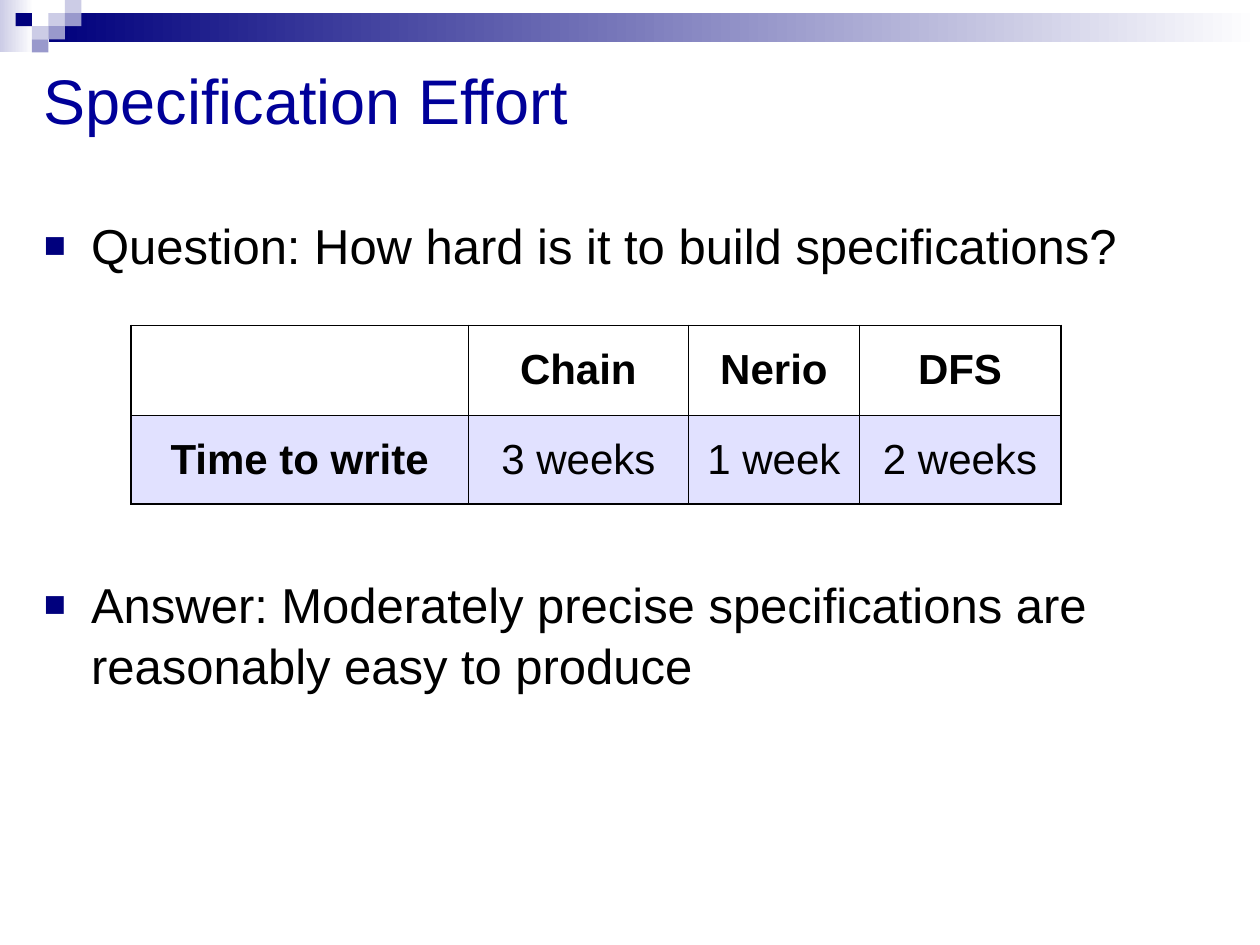
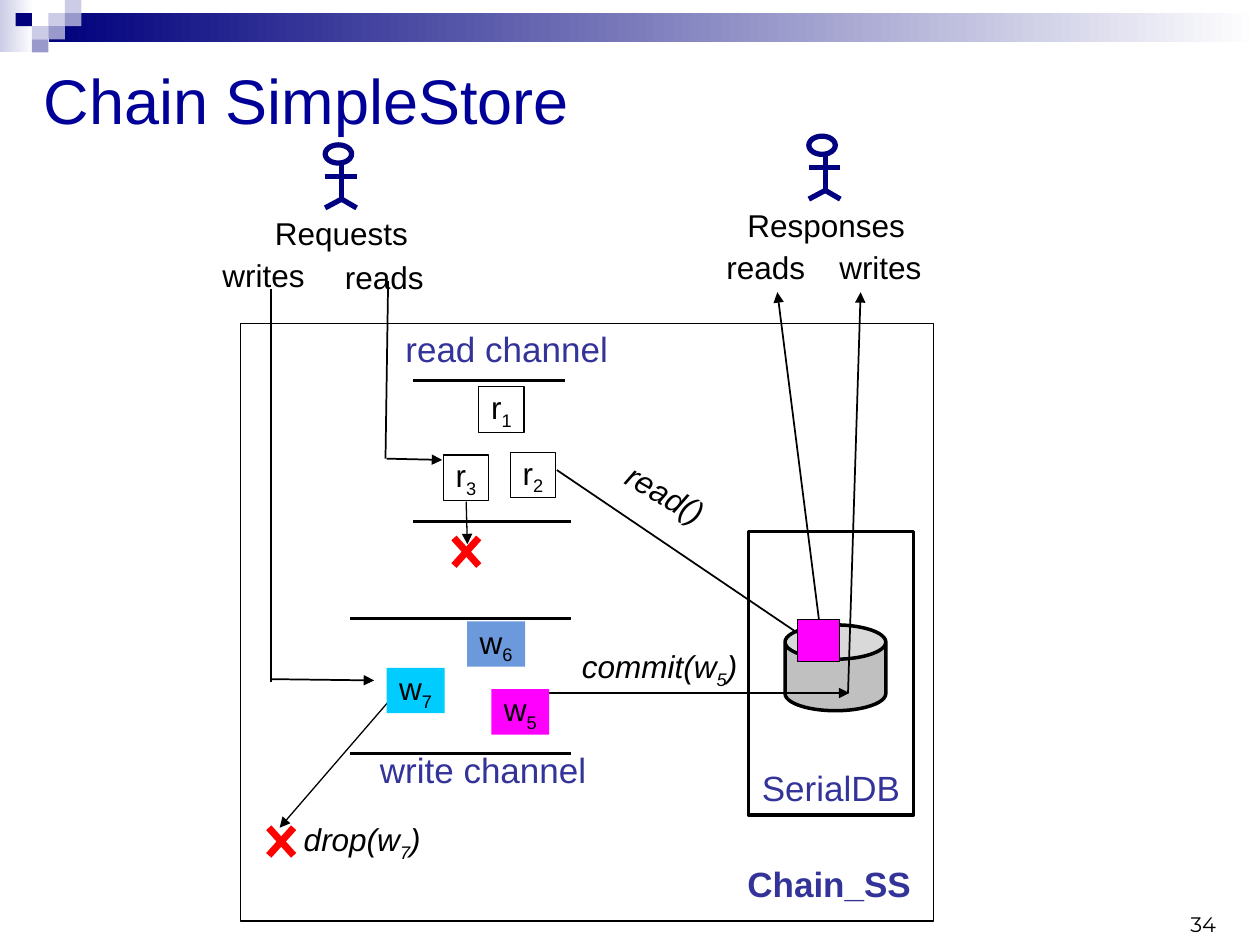
"""Build two slides: a specification effort table and a chain store diagram."""
from dataclasses import dataclass

from lxml import etree
from pptx import Presentation
from pptx.dml.color import RGBColor
from pptx.enum.shapes import MSO_CONNECTOR, MSO_SHAPE
from pptx.enum.text import MSO_ANCHOR, PP_ALIGN
from pptx.oxml.ns import qn
from pptx.util import Pt

RECT, OVAL, CAN = MSO_SHAPE.RECTANGLE, MSO_SHAPE.OVAL, MSO_SHAPE.CAN
ROUND = MSO_SHAPE.ROUNDED_RECTANGLE
STRAIGHT = MSO_CONNECTOR.STRAIGHT
TOP, MIDDLE, BOTTOM = MSO_ANCHOR.TOP, MSO_ANCHOR.MIDDLE, MSO_ANCHOR.BOTTOM
LEFT, CENTER, RIGHT = PP_ALIGN.LEFT, PP_ALIGN.CENTER, PP_ALIGN.RIGHT


@dataclass(frozen=True)
class Theme:
    font: str = "Arial"
    number_font: str = "Montserrat"
    black: str = "000000"
    white: str = "FFFFFF"
    title: str = "000099"
    navy: str = "00007D"
    pale: str = "CCCCE6"
    mid: str = "9999CC"
    row: str = "E1E1FF"
    name: str = "333399"
    person: str = "000080"
    red: str = "FF0000"
    gray: str = "C0C0C0"
    cyan: str = "00CCFF"
    blue: str = "6B99DB"
    magenta: str = "FF00FF"
    title_pt: int = 36
    body_pt: int = 28
    cell_pt: int = 24
    name_pt: int = 20
    label_pt: int = 18
    number_pt: int = 12


T = Theme()

BULLETS = [
    ("Question: How hard is it to build specifications?", 0),
    ("Answer: Moderately precise specifications are reasonably easy to produce", 169.6),
]
EFFORT = [
    ["", "Chain", "Nerio", "DFS"],
    ["Time to write", "3 weeks", "1 week", "2 weeks"],
]
EFFORT_COLS = [192.5, 126, 97.5, 115.2]

SQUARES = [(2, 1, T.pale), (3, 0, T.pale), (3, 1, T.mid), (1, 2, T.pale),
           (0, 1, T.navy), (2, 2, T.mid), (1, 3, T.mid)]

LABELS = [
    ("Requests", 150, 119, 102), ("writes", 120, 142.6, 72), ("reads", 190, 144, 62),
    ("Responses", 420, 114, 114), ("reads", 408, 138, 72), ("writes", 472.5, 138, 62),
]
CALLS = [("drop(w~7~)", 166.5, 465, 86, 0), ("commit(w~5~)", 325.5, 366, 108, 0),
         ("read()", 349, 268.6, 66, 30)]
NAMES = [("read channel", 224.6, 183.6, 160, False),
         ("write channel", 210, 424, 160, False),
         ("Chain_SS", 420, 489.6, 114, True)]
REQUESTS = [
    ("r~1~", 273.6, 221, 25.9, T.white), ("r~2~", 291.6, 258.5, 25.9, T.white),
    ("r~3~", 253.4, 260, 25.9, T.white), ("w~5~", 280.8, 393.8, 33.1, T.magenta),
    ("w~6~", 267, 355, 33.1, T.blue), ("w~7~", 221, 381.6, 33.1, T.cyan),
]
CHANNEL_BARS = [(236.2, 322.6, 217.4), (236.2, 326.2, 298.1),
                (200.2, 326.2, 353.5), (200.2, 326.2, 430.6)]
FLOWS = [
    (154.8, 164.9, 154.8, 389.5, 1, False), (155.5, 388.1, 213.8, 388.8, 1, True),
    (221.8, 160.6, 220.3, 262.1, 1, False), (221, 262.1, 252.7, 262.8, 1, True),
    (266.4, 286.6, 267.1, 311, 0.75, True), (236.2, 384.5, 159.8, 473, 0.75, True),
    (305.3, 396, 485.3, 396, 1, True), (484.6, 396, 491.8, 167, 1, True),
    (318.2, 268.6, 470.2, 371.5, 1, True), (470.2, 371.5, 444.2, 167, 1, True),
]
CROSSES = [(259.4, 307.4), (153.6, 473)]
PEOPLE = [(185.8, 82.8), (462.2, 77.8)]
LIMBS = [(9.4, 10.4, 9.4, 31), (9.4, 31, 0, 36), (9.4, 31, 18, 36), (0, 18, 18, 18)]


def rgb(code):
    return RGBColor.from_string(code)


def write(p, text, size, color, font=T.font, bold=False, italic=False, align=LEFT):
    p.alignment = align
    for i, part in enumerate(text.split("~")):
        if part:
            r = p.add_run()
            r.text = part
            f = r.font
            f.name, f.size, f.bold, f.italic = font, Pt(size), bold, italic
            f.color.rgb = rgb(color)
            if i % 2:
                r._r.get_or_add_rPr().set("baseline", "-25000")


def frame(sp, anchor=TOP, wrap=True, top=3.6, bottom=3.6):
    tf = sp.text_frame
    tf.word_wrap, tf.vertical_anchor = wrap, anchor
    tf.margin_left = tf.margin_right = Pt(7.2)
    tf.margin_top, tf.margin_bottom = Pt(top), Pt(bottom)
    return tf


def add_text(s, text, x, y, w, h, size, color, anchor=TOP, **style):
    sp = s.shapes.add_textbox(Pt(x), Pt(y), Pt(w), Pt(h))
    write(frame(sp, anchor).paragraphs[0], text, size, color, **style)
    return sp


def add_box(s, kind, x, y, w, h, fill=None, line=None, width=0.75):
    sp = s.shapes.add_shape(kind, Pt(x), Pt(y), Pt(w), Pt(h))
    sp.shadow.inherit = False
    if fill:
        sp.fill.solid()
        sp.fill.fore_color.rgb = rgb(fill)
    else:
        sp.fill.background()
    if line:
        sp.line.color.rgb = rgb(line)
        sp.line.width = Pt(width)
    else:
        sp.line.fill.background()
    return sp


def add_fade(s, x, y, w, h, color):
    sp = add_box(s, RECT, x, y, w, h)
    sp.fill.gradient()
    sp.fill.gradient_angle = 180
    for stop, code in zip(sp.fill.gradient_stops, (T.white, color)):
        stop.color.rgb = rgb(code)


def add_line(s, x1, y1, x2, y2, color=T.black, width=1, arrow=False):
    cn = s.shapes.add_connector(STRAIGHT, Pt(x1), Pt(y1), Pt(x2), Pt(y2))
    cn.line.color.rgb = rgb(color)
    cn.line.width = Pt(width)
    if arrow:
        etree.SubElement(cn.line._get_or_add_ln(), qn("a:tailEnd"), type="triangle")
    etree.SubElement(cn._element.spPr, qn("a:effectLst"))


def add_slide(prs, title):
    s = prs.slides.add_slide(prs.slide_layouts[6])
    add_fade(s, 0, 0, 19.4, 29.5, T.pale)
    add_fade(s, 28, 7.2, 692, 16.6, T.navy)
    for col, row, color in SQUARES:
        add_box(s, RECT, 8.9 + 9.4 * col, 7.5 * row, 9.4, 7.5, color)
    add_text(s, title, 18, 24, 690, 66, T.title_pt, T.title, MIDDLE)
    return s


def set_bullet(p):
    pPr = p._p.get_or_add_pPr()
    pPr.set("marL", str(Pt(27)))
    pPr.set("indent", str(-Pt(27)))
    color = etree.SubElement(pPr, qn("a:buClr"))
    etree.SubElement(color, qn("a:srgbClr"), val=T.navy)
    etree.SubElement(pPr, qn("a:buSzPct"), val="75000")
    etree.SubElement(pPr, qn("a:buFont"), typeface=T.font)
    etree.SubElement(pPr, qn("a:buChar"), char="■")


def set_border(cell, side, width):
    ln = etree.Element(qn("a:ln" + side), w=str(Pt(width)))
    fill = etree.SubElement(ln, qn("a:solidFill"))
    etree.SubElement(fill, qn("a:srgbClr"), val=T.black)
    cell._tc.get_or_add_tcPr().append(ln)


def add_effort_table(s):
    rows, cols = len(EFFORT), len(EFFORT_COLS)
    tbl = s.shapes.add_table(rows, cols, Pt(75), Pt(186),
                             Pt(sum(EFFORT_COLS)), Pt(51.1 * rows)).table
    for col, width in zip(tbl.columns, EFFORT_COLS):
        col.width = Pt(width)
    for i, texts in enumerate(EFFORT):
        tbl.rows[i].height = Pt(51.1)
        for j, text in enumerate(texts):
            cell = tbl.cell(i, j)
            cell.vertical_anchor = MIDDLE
            write(cell.text_frame.paragraphs[0], text, T.cell_pt, T.black,
                  bold=i == 0 or j == 0, align=CENTER)
            outer = {"L": j == 0, "R": j == cols - 1, "T": i == 0, "B": i == rows - 1}
            for side, edge in outer.items():
                set_border(cell, side, 1.08 if edge else 0.45)
            cell.fill.solid()
            cell.fill.fore_color.rgb = rgb(T.row if i else T.white)


def build_effort(prs):
    s = add_slide(prs, "Specification Effort")
    sp = s.shapes.add_textbox(Pt(18), Pt(96), Pt(690), Pt(426))
    tf = frame(sp, top=25.5)
    for i, (text, gap) in enumerate(BULLETS):
        p = tf.add_paragraph() if i else tf.paragraphs[0]
        p.line_spacing = 1.05
        p.space_before = Pt(gap)
        write(p, text, T.body_pt, T.black)
        set_bullet(p)
    add_effort_table(s)


def add_person(s, x, y):
    add_box(s, OVAL, x, y, 15.1, 10.4, line=T.person, width=3)
    for x1, y1, x2, y2 in LIMBS:
        add_line(s, x + x1, y + y1, x + x2, y + y2, T.person, 3)


def add_cross(s, x, y):
    w, h = 14.2, 15.8
    add_line(s, x, y, x + w, y + h, T.red, 4)
    add_line(s, x + w, y, x, y + h, T.red, 4)


def build_store(prs):
    s = add_slide(prs, "Chain SimpleStore")
    add_text(s, "34", 534, 516, 168, 23, T.number_pt, T.black, BOTTOM,
             font=T.number_font, align=RIGHT)
    store = add_box(s, ROUND, 137.5, 185, 396, 341.3, line=T.black)
    store.adjustments[0] = 0
    db = add_box(s, RECT, 427.7, 303.8, 94.3, 162, line=T.black, width=2)
    write(frame(db, BOTTOM, False).paragraphs[0], "SerialDB", T.name_pt, T.name,
          align=CENTER)
    disk = add_box(s, CAN, 448.6, 357.1, 57.6, 49, T.gray, T.black, 2)
    disk.adjustments[0] = 0.4

    for x1, x2, y in CHANNEL_BARS:
        add_line(s, x1, y, x2, y, width=2)
    for x1, y1, x2, y2, width, arrow in FLOWS:
        add_line(s, x1, y1, x2, y2, T.black, width, arrow)
    for x, y in CROSSES:
        add_cross(s, x, y)
    for x, y in PEOPLE:
        add_person(s, x, y)

    for text, x, y, w in LABELS:
        add_text(s, text, x, y, w, 28.8, T.label_pt, T.black)
    for text, x, y, w, angle in CALLS:
        sp = add_text(s, text, x, y, w, 28.8, T.label_pt, T.black, italic=True)
        sp.rotation = angle
    for text, x, y, w, bold in NAMES:
        add_text(s, text, x, y, w, 31.7, T.name_pt, T.name, bold=bold)
    for text, x, y, w, fill in REQUESTS:
        line = T.black if fill == T.white else None
        sp = add_box(s, RECT, x, y, w, 26, fill, line)
        tf = frame(sp, wrap=False, top=0.7, bottom=0.7)
        write(tf.paragraphs[0], text, T.label_pt, T.black, align=CENTER)
    add_box(s, RECT, 455.8, 354.2, 24, 24, T.magenta, T.black)


def main():
    prs = Presentation()
    prs.slide_width, prs.slide_height = Pt(720), Pt(540)
    build_effort(prs)
    build_store(prs)
    prs.save("out.pptx")


if __name__ == "__main__":
    main()
